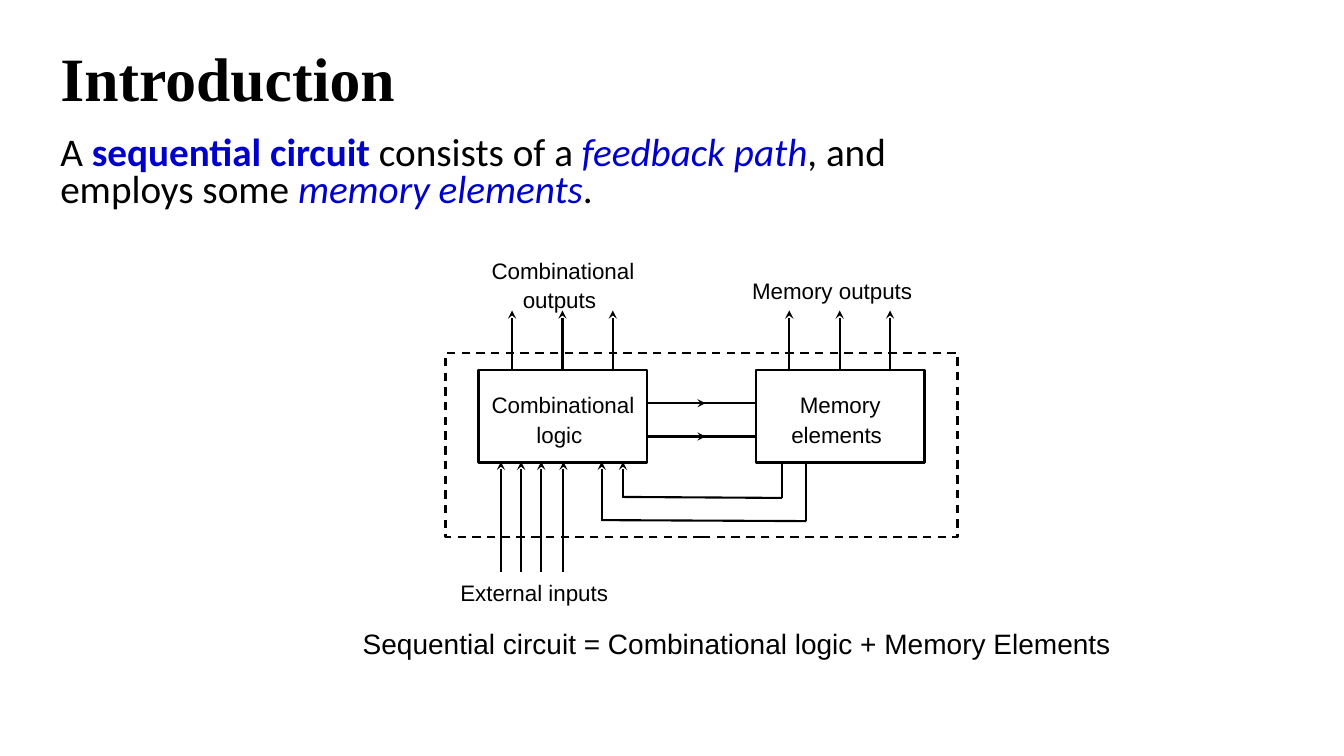
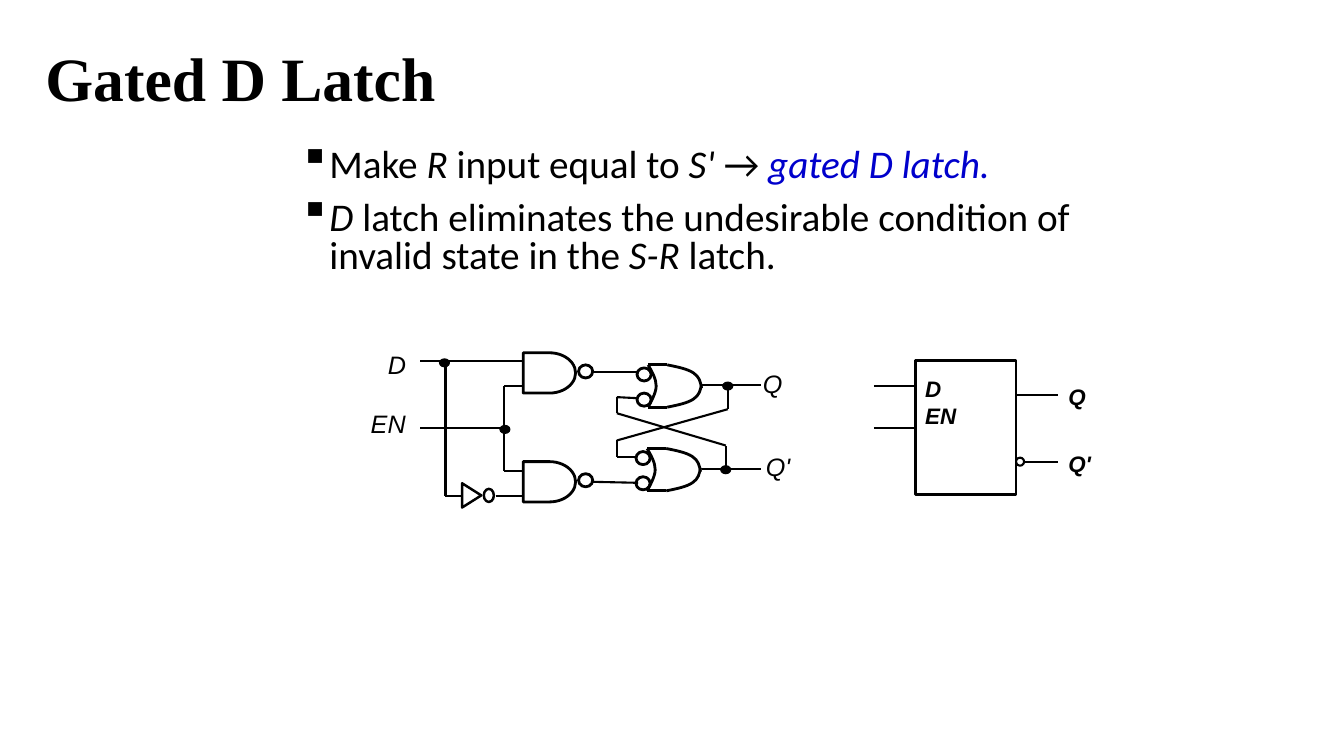
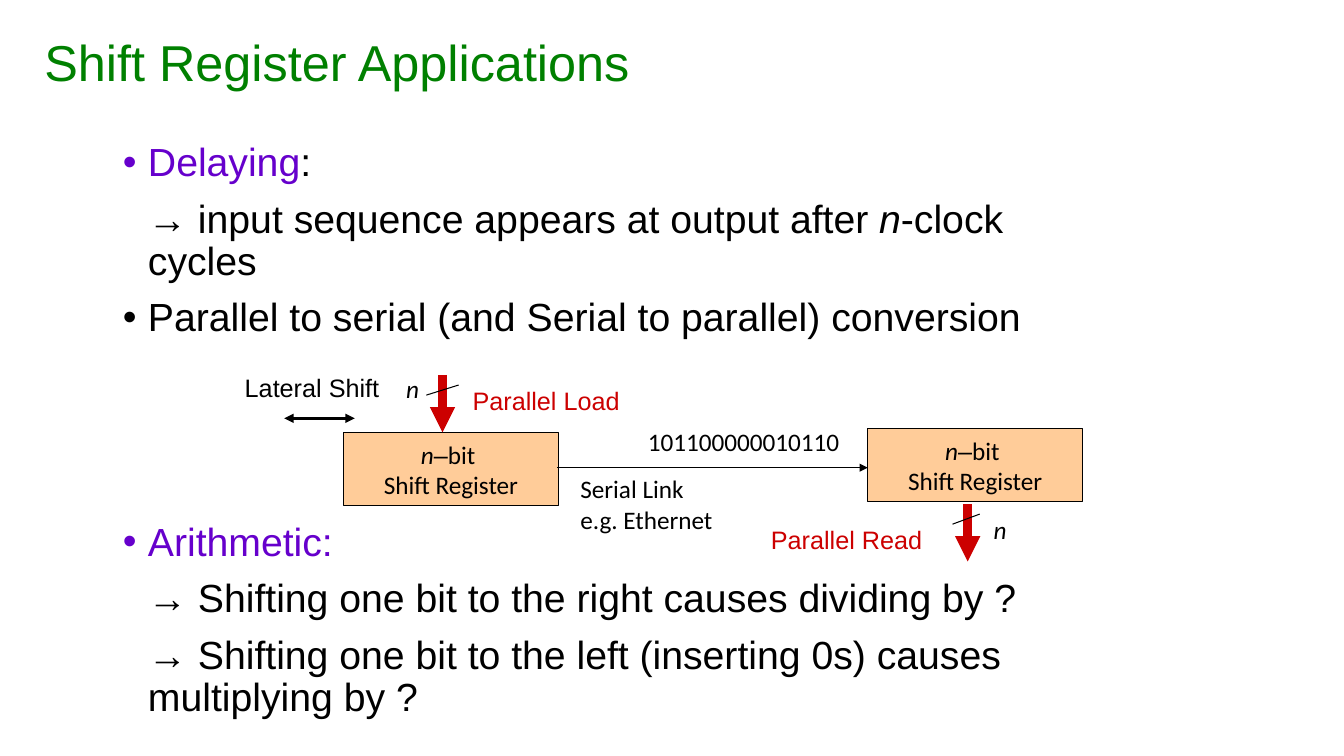
from dataclasses import dataclass
from itertools import pairwise

from lxml import etree
from pptx import Presentation, slide as sl, util as u
from pptx.dml import color as c
from pptx.enum import dml, shapes as es, text as et
from pptx.oxml import ns

BLACK = c.RGBColor(0x00, 0x00, 0x00)
WHITE = c.RGBColor(0xFF, 0xFF, 0xFF)
BLUE = c.RGBColor(0x00, 0x00, 0xCC)
GREEN = c.RGBColor(0x00, 0x80, 0x00)
VIOLET = c.RGBColor(0x66, 0x00, 0xCC)
RED = c.RGBColor(0xCC, 0x00, 0x00)
PEACH = c.RGBColor(0xFF, 0xCC, 0x99)

KIND = es.MSO_SHAPE
MID = et.MSO_ANCHOR.MIDDLE
CENTER = et.PP_ALIGN.CENTER

# Format values
BASE = {"name": "Arial", "size": u.Pt(18), "bold": False, "italic": False, "color": BLACK}
ITAL = {"italic": True}
KEY = {"color": BLUE, "italic": True}
HEAD = {"name": "Times New Roman", "size": u.Pt(44), "bold": True}
LEAD = {"name": "Calibri", "size": u.Pt(28)}
NOTE = {"name": "Calibri"}
LABEL = {"size": u.Pt(16)}
PIN = {"size": u.Pt(16), "bold": True, "italic": True}

Point = tuple[float, float]
Run = tuple[str, dict]


@dataclass
class Box:
    left: float
    top: float
    wide: float
    high: float

    def emu(self) -> list[u.Length]:
        return [u.Inches(v) for v in (self.left, self.top, self.wide, self.high)]


@dataclass
class Bullet:
    char: str
    face: str
    scale: int = 100


@dataclass
class Para:
    runs: list[Run]
    align: et.PP_ALIGN = et.PP_ALIGN.LEFT
    lines: float = 1.0
    before: float = 0
    bullet: Bullet | None = None
    indent: float = 0


@dataclass
class Wire:
    start: Point
    end: Point
    tail: str = ""
    head: str = ""
    width: float = 1.5
    color: c.RGBColor = BLACK


def style(font, fmt: dict) -> None:
    for key, value in (BASE | fmt).items():
        if key == "color":
            font.color.rgb = value
        else:
            setattr(font, key, value)


def write(frame, paras: list[Para], fmt: dict, anchor=et.MSO_ANCHOR.TOP, wrap: bool = True) -> None:
    frame.word_wrap = wrap
    frame.auto_size = et.MSO_AUTO_SIZE.NONE
    frame.vertical_anchor = anchor
    for i, para in enumerate(paras):
        p = frame.paragraphs[0] if i == 0 else frame.add_paragraph()
        p.alignment, p.line_spacing = para.align, para.lines
        if para.before and i:
            p.space_before = u.Pt(para.before)
        prop = p._p.get_or_add_pPr()
        if para.indent:
            prop.set("marL", str(u.Inches(para.indent)))
        if para.bullet:
            prop.set("indent", str(-u.Inches(para.indent)))
            etree.SubElement(prop, ns.qn("a:buSzPct"), val=str(para.bullet.scale * 1000))
            etree.SubElement(prop, ns.qn("a:buFont"), typeface=para.bullet.face)
            etree.SubElement(prop, ns.qn("a:buChar"), char=para.bullet.char)
        for words, extra in para.runs:
            run = p.add_run()
            run.text = words
            style(run.font, fmt | extra)


def plain(*rows: str, **kw) -> list[Para]:
    return [Para([(row, {})], **kw) for row in rows]


def put(page: sl.Slide, box: Box, paras: list[Para], fmt: dict, wrap: bool = True):
    area = page.shapes.add_textbox(*box.emu())
    write(area.text_frame, paras, fmt, wrap=wrap)
    return area


def start(deck, name: str, box: Box, fmt: dict) -> sl.Slide:
    page = deck.slides.add_slide(deck.slide_layouts[5])
    title = page.shapes.title
    title.left, title.top, title.width, title.height = box.emu()
    write(title.text_frame, plain(name, lines=0.9), fmt, MID)
    return page


def paint(shape, fill: c.RGBColor) -> None:
    shape.fill.solid()
    shape.fill.fore_color.rgb = fill


def ink(shape, width: float, fill: c.RGBColor | None = None) -> None:
    shape.shadow.inherit = False
    shape.line.color.rgb = BLACK
    shape.line.width = u.Pt(width)
    if fill is None:
        shape.fill.background()
    else:
        paint(shape, fill)


def draw(page: sl.Slide, kind, box: Box, width: float = 2, fill: c.RGBColor | None = None):
    shape = page.shapes.add_shape(kind, *box.emu())
    ink(shape, width, fill)
    return shape


def link(page: sl.Slide, wire: Wire) -> None:
    ends = [u.Inches(v) for v in wire.start + wire.end]
    line = page.shapes.add_connector(es.MSO_CONNECTOR.STRAIGHT, *ends)
    line.line.color.rgb = wire.color
    line.line.width = u.Pt(wire.width)
    prop = line._element.spPr
    for tag, tip in (("a:headEnd", wire.head), ("a:tailEnd", wire.tail)):
        if tip:
            etree.SubElement(prop.find(ns.qn("a:ln")), ns.qn(tag), type=tip)
    etree.SubElement(prop, ns.qn("a:effectLst"))


def chain(page: sl.Slide, *points: Point) -> None:
    for a, b in pairwise(points):
        link(page, Wire(a, b))


def curve(page: sl.Slide, x: float, y: float, *spots: Point) -> None:
    """Cubic curve from x, y; every three offsets give one arc."""
    pen = page.shapes.build_freeform(u.Inches(x), u.Inches(y))
    pen.add_line_segments([(u.Inches(x + px), u.Inches(y + py)) for px, py in spots], close=False)
    shape = pen.convert_to_shape()
    ink(shape, 2)
    track = next(shape._element.iter(ns.qn("a:path")))
    sides = track.findall(ns.qn("a:lnTo"))
    for i, side in enumerate(sides):
        if i % 3 == 0:
            arc = etree.SubElement(track, ns.qn("a:cubicBezTo"))
        arc.append(side[0])
        track.remove(side)


def or_gate(page: sl.Slide, x: float, y: float) -> None:
    curve(page, x, y, (0.04, 0.07), (0.08, 0.14), (0.08, 0.21), (0.08, 0.28), (0.02, 0.38), (0, 0.42))
    nose = ((0.1, 0.02), (0.2, 0.04), (0.26, 0.08), (0.32, 0.12), (0.33, 0.17), (0.34, 0.23))
    for drop, sign in ((0, 1), (0.42, -1)):
        chain_y = y + drop
        link(page, Wire((x, chain_y), (x + 0.19, chain_y), width=2))
        curve(page, x + 0.19, chain_y, *((px, sign * py) for px, py in nose))
    for drop in (0.03, 0.28):
        draw(page, KIND.OVAL, Box(x - 0.11, y + drop, 0.14, 0.13))


def nand_gate(page: sl.Slide, x: float, y: float) -> None:
    draw(page, KIND.FLOWCHART_DELAY, Box(x, y, 0.52, 0.4))
    draw(page, KIND.OVAL, Box(x + 0.55, y + 0.12, 0.14, 0.13))


def intro(deck) -> None:
    page = start(deck, "Introduction", Box(0.5, 0.08, 11.5, 1.45), HEAD)
    put(page, Box(0.5, 1.3, 8.7, 0.92), [Para([
        ("A ", {}), ("sequential circuit", {"color": BLUE, "bold": True}),
        (" consists of a ", {}), ("feedback path", KEY),
        (", and employs some ", {}), ("memory elements", KEY), (".", {})], lines=0.8)], LEAD)

    # Blocks and their outputs
    for x in (4.75, 7.5):
        draw(page, KIND.RECTANGLE, Box(x, 3.67, 1.67, 0.92))
        for i in range(3):
            out = x + 0.33 + 0.5 * i
            link(page, Wire((out, 3.67), (out, 3.08), "stealth"))
    frame = draw(page, KIND.RECTANGLE, Box(4.42, 3.5, 5.08, 1.83), 1.5)
    frame.line.dash_style = dml.MSO_LINE.DASH

    # Wires between the blocks
    for y in (4, 4.33):
        link(page, Wire((6.42, y), (7, y), "stealth"))
        link(page, Wire((6.92, y), (7.5, y)))
    for x in (4.97, 5.17, 5.37, 5.59):
        link(page, Wire((x, 5.67), (x, 4.58), "stealth"))
    for x, far, low in ((6.18, 7.76, 4.94), (5.97, 8, 5.17)):
        link(page, Wire((x, low), (x, 4.58), "stealth"))
        chain(page, (x, low - 0.01), (far, low), (far, 4.58))

    # Labels
    for words, box in (("Combinational logic", Box(4.75, 3.83, 1.67, 0.67)),
                       ("Memory elements", Box(7.5, 3.83, 1.67, 0.67)),
                       ("Combinational outputs", Box(4.75, 2.5, 1.67, 0.67)),
                       ("Memory outputs", Box(7.33, 2.67, 1.92, 0.4)),
                       ("External inputs", Box(4.42, 5.67, 1.83, 0.4))):
        put(page, box, [Para([(words, LABEL), (" ", {})], CENTER)], {})
    put(page, Box(3.5, 6.17, 7.67, 0.42),
        plain("Sequential circuit = Combinational logic + Memory Elements"), {"size": u.Pt(20)})


def latch(deck) -> None:
    page = start(deck, "Gated D Latch", Box(0.35, 0.08, 11.5, 1.45), HEAD)
    item = {"lines": 0.8, "before": 11.2, "bullet": Bullet("§", "Wingdings", 120), "indent": 0.25}
    put(page, Box(2.92, 1.42, 8.42, 1.5), [
        Para([("Make ", {}), ("R", ITAL), (" input equal to ", {}), ("S' ", ITAL),
              ("→ ", {}), ("gated D latch.", KEY)], **item),
        Para([("D", ITAL), (" latch eliminates the undesirable condition of invalid state in the ", {}),
              ("S-R", ITAL), (" latch.", {})], **item)], LEAD)

    # Block symbol
    draw(page, KIND.RECTANGLE, Box(9.08, 3.58, 1, 1.33))
    draw(page, KIND.OVAL, Box(10.08, 4.54, 0.08, 0.08), 1.5)
    for x, end, y in ((8.67, 9.08, 3.83), (8.67, 9.08, 4.25), (10.08, 10.5, 3.92), (10.17, 10.5, 4.58)):
        chain(page, (x, y), (end, y))
    put(page, Box(9.08, 3.67, 0.58, 0.64), plain("D", "EN"), PIN)
    put(page, Box(10.5, 3.75, 0.5, 1.06), plain("Q", "Q'", before=28.5), PIN)

    # Gates
    nand_gate(page, 5.19, 3.5)
    nand_gate(page, 5.19, 4.58)
    or_gate(page, 6.43, 3.62)
    or_gate(page, 6.42, 4.45)
    draw(page, KIND.FLOWCHART_EXTRACT, Box(4.56, 4.82, 0.24, 0.19), 1.75).rotation = 90
    draw(page, KIND.OVAL, Box(4.8, 4.85, 0.1, 0.13), 1.75)

    # Wires and joints
    for points in (((4.17, 3.58), (5.18, 3.58)),
                   ((4.17, 4.25), (5, 4.25)),
                   ((4.42, 3.58), (4.42, 4.92), (4.58, 4.92)),
                   ((4.92, 4.92), (5.19, 4.92)),
                   ((5.19, 3.83), (5, 3.83), (5, 4.67), (5.19, 4.67)),
                   ((5.89, 3.69), (6.32, 3.69)),
                   ((5.88, 4.78), (6.33, 4.79)),
                   ((6.96, 3.82), (7.55, 3.82)),
                   ((6.96, 4.65), (7.55, 4.65)),
                   ((6.32, 3.95), (6.12, 3.94), (6.12, 4.1), (7.2, 4.42), (7.2, 4.65)),
                   ((6.32, 4.53), (6.12, 4.53), (6.12, 4.37), (7.22, 4.06), (7.22, 3.82))):
        chain(page, *points)
    for x, y in ((7.15, 4.62), (7.17, 3.79), (4.96, 4.22), (4.36, 3.56)):
        draw(page, KIND.OVAL, Box(x, y, 0.1, 0.08), 0.75, BLACK)
    for words, box in (("D", Box(3.75, 3.42, 0.48, 0.4)), ("EN", Box(3.58, 4, 0.6, 0.4)),
                       ("Q", Box(7.47, 3.61, 0.46, 0.4)), ("Q'", Box(7.5, 4.43, 0.46, 0.4))):
        put(page, box, plain(words), ITAL)


def shift(deck) -> None:
    page = start(deck, "Shift Register Applications", Box(0.34, 0.22, 8.5, 0.85),
                 {"size": u.Pt(36), "color": GREEN})
    tint = {"color": VIOLET}
    sub = {"lines": 0.9, "before": 10, "indent": 0.25}
    item = sub | {"bullet": Bullet("•", "Arial")}
    body = put(page, Box(1.12, 1.37, 10, 6.13), [
        Para([("Delaying", tint), (":", {})], **item),
        Para([("→ input sequence appears at output after ", {}), ("n", ITAL), ("-clock cycles", {})], **sub),
        *plain("Parallel to serial (and Serial to parallel) conversion", **item),
        Para([("Arithmetic:", tint)], **(item | {"before": 130})),
        *plain("→ Shifting one bit to the right causes dividing by ?",
               "→ Shifting one bit to the left (inserting 0s) causes multiplying by ?", **sub),
    ], {"size": u.Pt(28)})
    paint(body, WHITE)

    # Registers
    for x, y in ((3.41, 4.29), (8.61, 4.25)):
        block = draw(page, KIND.RECTANGLE, Box(x, y, 2.13, 0.73), 0.75, PEACH)
        write(block.text_frame, [
            Para([("n", ITAL), ("–", {"name": "Arial"}), ("bit ", {})], CENTER),
            *plain("Shift Register", align=CENTER)], NOTE, MID, wrap=False)

    # Arrows and bus marks
    for wire in (Wire((4.39, 3.72), (4.39, 4.29), "triangle", width=6, color=RED),
                 Wire((9.6, 5), (9.6, 5.57), "triangle", width=6, color=RED),
                 Wire((2.82, 4.15), (3.52, 4.15), "triangle", "triangle", 2.25),
                 Wire((5.53, 4.64), (8.61, 4.64), "triangle", width=0.75),
                 Wire((4.55, 3.82), (4.23, 3.92), width=0.75),
                 Wire((9.72, 5.1), (9.45, 5.2), width=0.75)):
        link(page, wire)

    # Labels
    for rows, box, fmt in ((["Lateral Shift"], Box(2.33, 3.64, 1.53, 0.4), {}),
                           (["Parallel Load"], Box(4.59, 3.77, 1.66, 0.4), {"color": RED}),
                           (["Parallel Read"], Box(7.55, 5.15, 1.7, 0.4), {"color": RED}),
                           (["n"], Box(3.93, 3.65, 0.33, 0.4), NOTE | ITAL),
                           (["n"], Box(9.76, 5.05, 0.33, 0.4), NOTE | ITAL),
                           (["Serial Link", "e.g. Ethernet"], Box(5.66, 4.65, 1.53, 0.71), NOTE),
                           (["101100000010110"], Box(6.33, 4.18, 2.12, 0.4), NOTE)):
        put(page, box, plain(*rows), fmt, wrap=False)


def main() -> None:
    deck = Presentation()
    deck.slide_width, deck.slide_height = u.Inches(40 / 3), u.Inches(7.5)
    for build in (intro, latch, shift):
        build(deck)
    deck.save("out.pptx")


if __name__ == "__main__":
    main()
